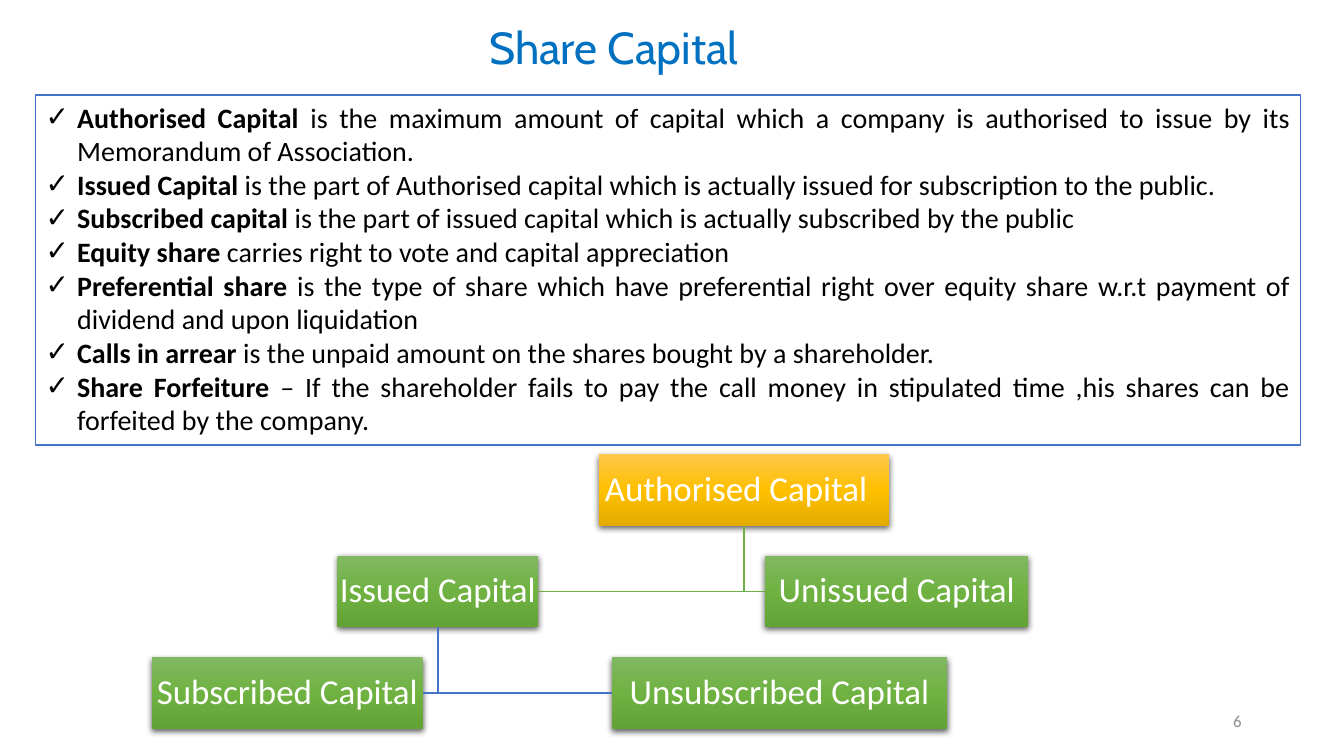
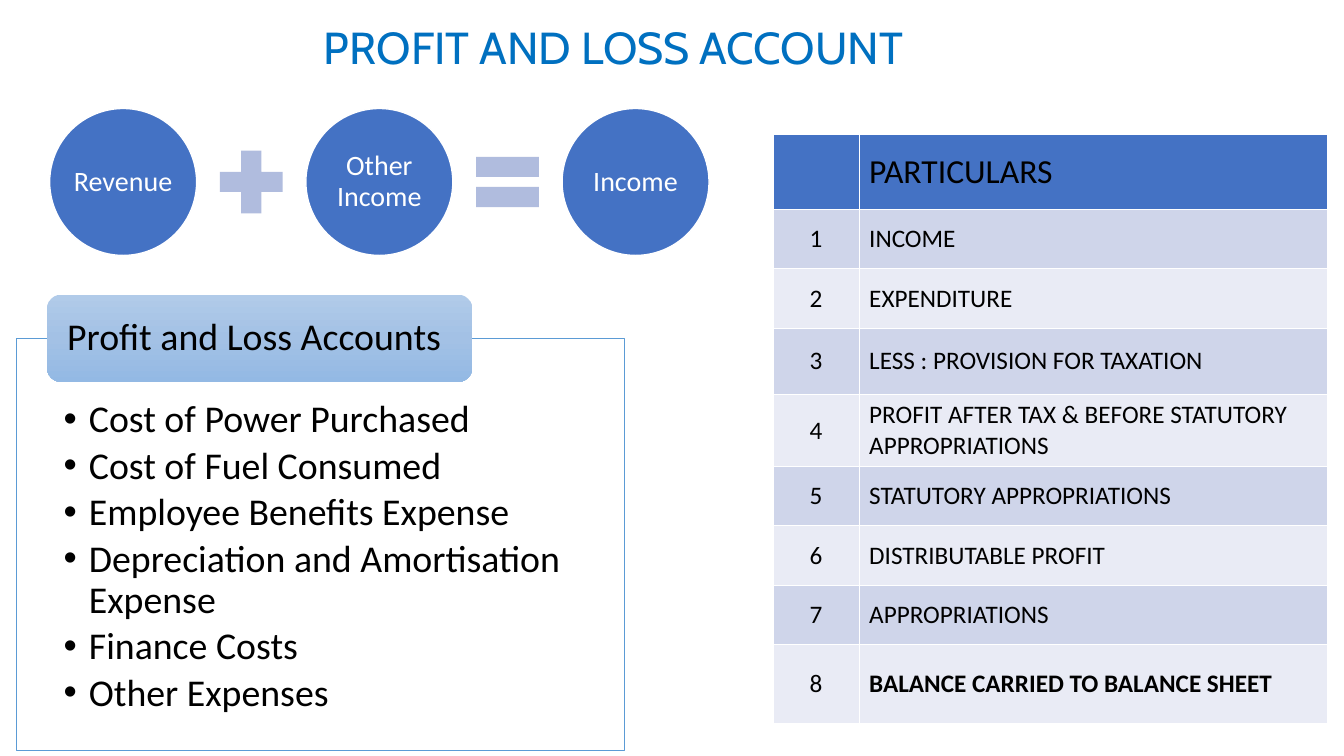
"""Build two finance slides: share capital and the profit and loss account."""
from copy import deepcopy
from dataclasses import dataclass

from lxml import etree
from pptx import Presentation
from pptx.dml.color import RGBColor
from pptx.enum.shapes import MSO_SHAPE
from pptx.enum.text import MSO_ANCHOR, MSO_AUTO_SIZE, PP_ALIGN
from pptx.oxml.ns import qn
from pptx.util import Pt

RECTANGLE, ROUNDED, OVAL = MSO_SHAPE.RECTANGLE, MSO_SHAPE.ROUNDED_RECTANGLE, MSO_SHAPE.OVAL
PLUS, EQUAL = MSO_SHAPE.MATH_PLUS, MSO_SHAPE.MATH_EQUAL
TOP, MIDDLE = MSO_ANCHOR.TOP, MSO_ANCHOR.MIDDLE
LEFT, CENTER, RIGHT, JUSTIFY = PP_ALIGN.LEFT, PP_ALIGN.CENTER, PP_ALIGN.RIGHT, PP_ALIGN.JUSTIFY
NO_FIT = MSO_AUTO_SIZE.NONE


@dataclass(frozen=True)
class Theme:
    """Colours, fonts and type sizes of the deck."""
    title_font: str = "Cabin"
    text_font: str = "Calibri"
    title: str = "0070C0"
    black: str = "000000"
    white: str = "FFFFFF"
    grey: str = "8C8C8C"
    blue: str = "4472C4"
    sky: str = "5B9BD5"
    green: str = "70AD47"
    symbol: str = "B0BCDE"
    bands: tuple = ("CFD5EA", "E9EBF5")
    gold_gradient: tuple = ("FFC64B", "FFC000", "E3AB00")
    green_gradient: tuple = ("81B861", "6FB242", "62A336")
    sky_gradient: tuple = ("B1CBE9", "A3C1E5", "93B9E4")
    title_size: int = 32
    panel_size: int = 27
    box_size: int = 25
    header_size: int = 24
    text_size: int = 20
    table_size: int = 18
    number_size: int = 12


THEME = Theme()

DEFINITIONS = [
    ("Authorised Capital", " is the maximum amount of capital which a company is authorised "
     "to issue by its Memorandum of Association."),
    ("Issued Capital", " is the part of Authorised capital which is actually issued for "
     "subscription to the public."),
    ("Subscribed capital", " is the part of issued capital which is actually subscribed by the public"),
    ("Equity share", " carries right to vote and capital appreciation"),
    ("Preferential share", " is the type of share which have preferential right over equity share "
     "w.r.t payment of dividend and upon liquidation"),
    ("Calls in arrear", " is the unpaid amount on the shares bought by a shareholder."),
    ("Share Forfeiture", " – If the shareholder fails to pay the call money in stipulated time "
     ",his shares can be forfeited by the company."),
]
EXPENSES = ["Cost of Power Purchased", "Cost of Fuel Consumed", "Employee Benefits Expense",
            "Depreciation and Amortisation Expense", "Finance Costs", "Other Expenses"]
PARTICULARS = ["INCOME", "EXPENDITURE", "LESS : PROVISION FOR TAXATION",
               "PROFIT AFTER TAX & BEFORE STATUTORY APPROPRIATIONS", "STATUTORY APPROPRIATIONS",
               "DISTRIBUTABLE PROFIT", "APPROPRIATIONS", "BALANCE CARRIED TO BALANCE SHEET"]
ROW_HEIGHTS = [53.5, 42.5, 42.5, 47.5, 51, 42.5, 42.5, 42.5, 56.5]
CAPITAL_BOXES = {
    "Authorised Capital": (0, 428, 207),
    "Issued Capital": (1, 241, 143.5),
    "Unissued Capital": (1, 546.5, 188),
    "Subscribed Capital": (2, 108.5, 193.5),
    "Unsubscribed Capital": (2, 437, 239.5),
}


def apply(target, values):
    """Set each named attribute of the target."""
    for name, value in values.items():
        setattr(target, name, value)


def place(shape, box):
    """Move and size a shape by a box in points."""
    apply(shape, dict(zip(("left", "top", "width", "height"), map(Pt, box))))


def add_run(paragraph, text, size, color, font=THEME.text_font, bold=False):
    """Add a formatted run to a paragraph."""
    run = paragraph.add_run()
    run.text = text
    apply(run.font, {"name": font, "size": Pt(size), "bold": bold})
    run.font.color.rgb = RGBColor.from_string(color)


def format_frame(frame, insets, anchor=MIDDLE, wrap=True):
    """Set the insets (left, top, right, bottom), anchor and wrapping of a frame."""
    names = ("margin_left", "margin_top", "margin_right", "margin_bottom")
    apply(frame, dict(zip(names, map(Pt, insets))))
    apply(frame, {"vertical_anchor": anchor, "word_wrap": wrap, "auto_size": NO_FIT})


def write(frame, text, size, color, align=CENTER, spacing=0.9, font=THEME.text_font):
    """Write a single paragraph into a frame."""
    paragraph = frame.paragraphs[0]
    apply(paragraph, {"alignment": align, "line_spacing": spacing})
    add_run(paragraph, text, size, color, font)


def fill_solid(target, color):
    """Give a shape or cell a plain fill."""
    target.fill.solid()
    target.fill.fore_color.rgb = RGBColor.from_string(color)


def fill_gradient(shape, colors):
    """Give a shape a vertical gradient of three evenly spaced colours."""
    shape.fill.gradient()
    shape.fill.gradient_angle = 270
    stops = next(shape._element.spPr.iter(qn("a:gsLst")))
    stops.append(deepcopy(stops[0]))
    for stop, position, color in zip(shape.fill.gradient_stops, (0, 0.5, 1), colors):
        stop.position = position
        stop.color.rgb = RGBColor.from_string(color)


def set_line(target, color, width=1):
    """Set the colour and width of an outline."""
    target.line.color.rgb = RGBColor.from_string(color)
    target.line.width = Pt(width)


def add_shadow(shape):
    """Add a soft shadow below a shape."""
    effects = shape._element.spPr.find(qn("a:effectLst"))
    shadow = etree.SubElement(effects, qn("a:outerShdw"), blurRad=str(Pt(4.5)), dist=str(Pt(1.5)),
                              dir="5400000", algn="ctr", rotWithShape="0")
    color = etree.SubElement(shadow, qn("a:srgbClr"), val=THEME.black)
    etree.SubElement(color, qn("a:alpha"), val="63000")


def add_shape(slide, kind, box, fill):
    """Add a shape without outline, filled with one colour or a gradient."""
    shape = slide.shapes.add_shape(kind, *map(Pt, box))
    shape.shadow.inherit = False
    shape.line.fill.background()
    paint = fill_solid if isinstance(fill, str) else fill_gradient
    paint(shape, fill)
    return shape


def add_slide(presentation, title):
    """Add a slide with a title and an open body placeholder."""
    slide = presentation.slides.add_slide(presentation.slide_layouts[1])
    heading = slide.shapes.title
    place(heading, (193, 13, 491, 45))
    format_frame(heading.text_frame, (7.2, 3.6, 7.2, 3.6))
    write(heading.text_frame, title, THEME.title_size, THEME.title, font=THEME.title_font)
    return slide


def fill_list(slide, box, insets, items, size, bullet, indent, outline, width, layout):
    """Fill the outlined body placeholder with bulleted (bold lead, text) items."""
    body = slide.placeholders[1]
    place(body, box)
    fill_solid(body, THEME.white)
    set_line(body, outline, width)
    frame = body.text_frame
    format_frame(frame, insets, TOP)
    for index, (lead, text) in enumerate(items):
        paragraph = frame.add_paragraph() if index else frame.paragraphs[0]
        apply(paragraph, {"space_before": Pt(0), **layout})
        properties = paragraph._p.get_or_add_pPr()
        properties.set("marL", str(Pt(indent)))
        properties.set("indent", str(-Pt(indent)))
        etree.SubElement(properties, qn("a:buChar"), char=bullet)
        if lead:
            add_run(paragraph, lead, size, THEME.black, bold=True)
        add_run(paragraph, text, size, THEME.black)


def add_capital_box(slide, text, level, left, width):
    """Add a box of the capital tree on its level."""
    root = level == 0
    fill = THEME.gold_gradient if root else THEME.green_gradient
    box = add_shape(slide, RECTANGLE, (left, 324.5 + 72.5 * level, width, 51), fill)
    add_shadow(box)
    format_frame(box.text_frame, (1.5, 1.5, 13 if root else 1.5, 1.5), wrap=False)
    write(box.text_frame, text, THEME.box_size, THEME.white)
    return box


def add_branch(slide, parent, child, color):
    """Draw an elbow from below a parent to the near side of a child."""
    center, bottom = parent.left + parent.width // 2, parent.top + parent.height
    middle = child.top + child.height // 2
    side = child.left if child.left > center else child.left + child.width
    builder = slide.shapes.build_freeform(center, bottom)
    builder.add_line_segments([(center, middle), (side, middle)], close=False)
    branch = builder.convert_to_shape()
    branch.shadow.inherit = False
    branch.fill.background()
    set_line(branch, color)


def add_formula(slide, terms, symbols):
    """Add a row of circles with a symbol in each gap."""
    left, top, circle_size, symbol_size, gap = 35.5, 77.5, 105, 61, 8.5
    pitch = circle_size + symbol_size + 2 * gap
    for index, term in enumerate(terms):
        circle = add_shape(slide, OVAL, (left + index * pitch, top, circle_size, circle_size), THEME.blue)
        set_line(circle, THEME.white)
        format_frame(circle.text_frame, (0, 0, 0, 0))
        write(circle.text_frame, term, THEME.text_size, THEME.white)
    symbol_top = top + (circle_size - symbol_size) / 2
    for index, kind in enumerate(symbols):
        symbol_left = left + circle_size + gap + index * pitch
        add_shape(slide, kind, (symbol_left, symbol_top, symbol_size, symbol_size), THEME.symbol)


def format_cell(cell, fill):
    """Give a cell white borders and a fill."""
    properties = cell._tc.get_or_add_tcPr()
    for side in ("a:lnL", "a:lnR", "a:lnT", "a:lnB"):
        border = etree.SubElement(properties, qn(side), w=str(Pt(1)))
        paint = etree.SubElement(border, qn("a:solidFill"))
        etree.SubElement(paint, qn("a:srgbClr"), val=THEME.white)
    fill_solid(cell, fill)
    cell.vertical_anchor = MIDDLE


def add_particulars(slide):
    """Add the numbered table of particulars."""
    rows = [("", "PARTICULARS"), *((str(number), text) for number, text in enumerate(PARTICULARS, 1))]
    box = map(Pt, (552.2, 95.9, 396, sum(ROW_HEIGHTS)))
    table = slide.shapes.add_table(len(rows), 2, *box).table
    for column, width in zip(table.columns, (61.5, 334.5)):
        column.width = Pt(width)
    for index, (values, height) in enumerate(zip(rows, ROW_HEIGHTS)):
        table.rows[index].height = Pt(height)
        fill = THEME.bands[(index - 1) % 2] if index else THEME.blue
        size = THEME.table_size if index else THEME.header_size
        for cell, text, align in zip(table.rows[index].cells, values, (CENTER, LEFT)):
            format_cell(cell, fill)
            if text:
                paragraph = cell.text_frame.paragraphs[0]
                paragraph.alignment = align
                add_run(paragraph, text, size, THEME.black, bold=text == PARTICULARS[-1])


def build_share_capital(presentation):
    """Build the slide of share capital terms and their tree."""
    slide = add_slide(presentation, "Share Capital")
    fill_list(slide, (25.4, 67.9, 903.5, 250), (7.2, 3.6, 7.2, 3.6), DEFINITIONS, THEME.text_size,
              "✓", 22.5, THEME.blue, 1, {"alignment": JUSTIFY, "line_spacing": 1.0})
    boxes = [add_capital_box(slide, text, *spot) for text, spot in CAPITAL_BOXES.items()]
    authorised, issued, unissued, subscribed, unsubscribed = boxes
    for parent, children, color in ((authorised, (issued, unissued), THEME.green),
                                    (issued, (subscribed, unsubscribed), THEME.blue)):
        for child in children:
            add_branch(slide, parent, child, color)
    number = slide.shapes.add_textbox(*map(Pt, (678, 500.5, 216, 29)))
    format_frame(number.text_frame, (7.2, 3.6, 7.2, 3.6))
    write(number.text_frame, "6", THEME.number_size, THEME.grey, RIGHT, 1.0)


def build_profit_and_loss(presentation):
    """Build the slide of the profit and loss account."""
    slide = add_slide(presentation, "PROFIT AND LOSS ACCOUNT")
    fill_list(slide, (11.5, 241.5, 434.5, 294.5), (34, 44.2, 34, 15), [("", text) for text in EXPENSES],
              THEME.panel_size, "•", 18, THEME.sky, 0.5,
              {"alignment": LEFT, "line_spacing": 0.9, "space_after": Pt(4.05)})
    add_formula(slide, ("Revenue", "Other Income", "Income"), (PLUS, EQUAL))
    add_particulars(slide)
    header = add_shape(slide, ROUNDED, (33.5, 210.4, 304, 62.5), THEME.sky_gradient)
    format_frame(header.text_frame, (11.5, 0, 8.5, 0))
    write(header.text_frame, "Profit and Loss Accounts", THEME.panel_size, THEME.black, LEFT)


def main():
    """Build and save the presentation."""
    presentation = Presentation()
    apply(presentation, {"slide_width": Pt(960), "slide_height": Pt(540)})
    build_share_capital(presentation)
    build_profit_and_loss(presentation)
    presentation.save("out.pptx")


if __name__ == "__main__":
    main()
